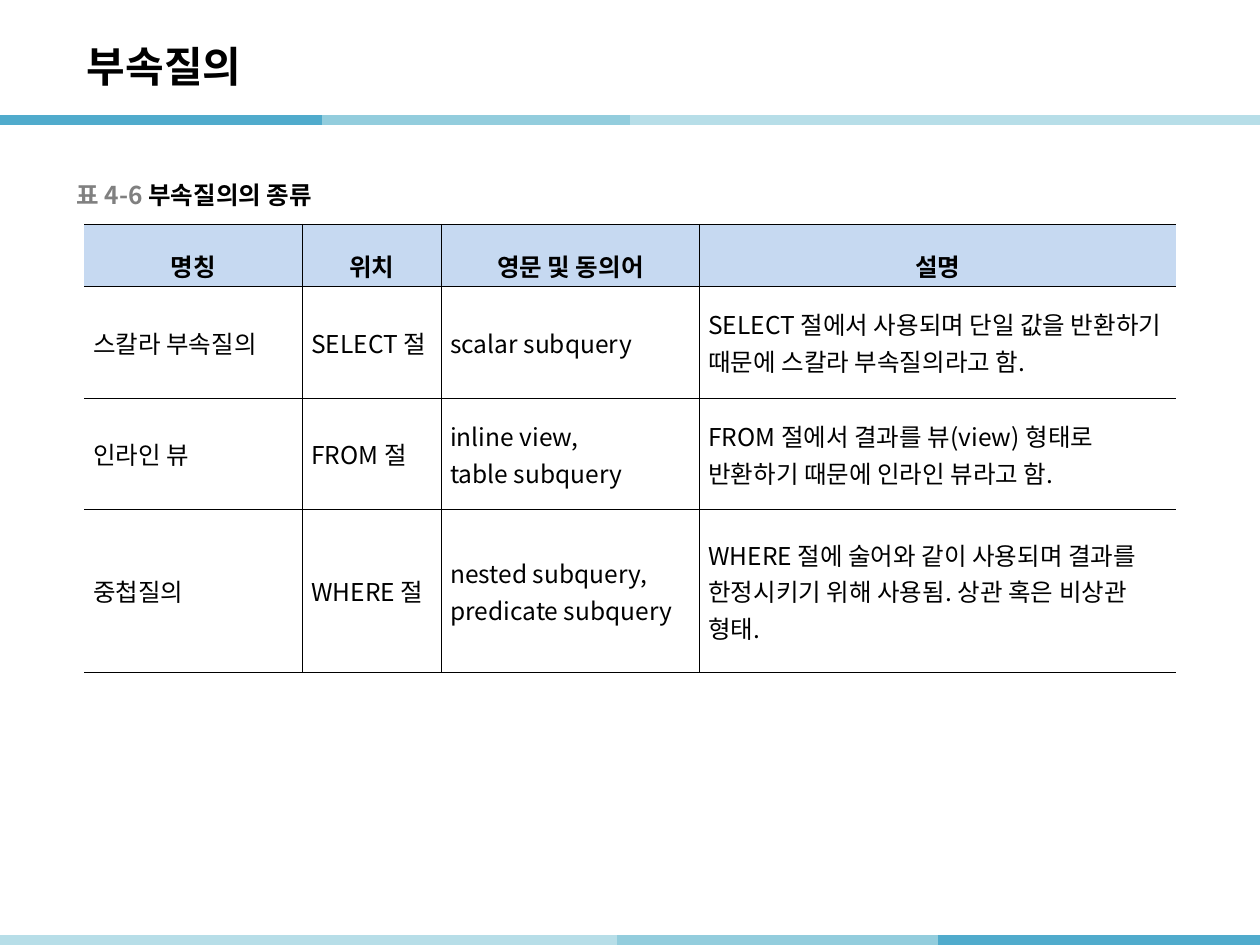
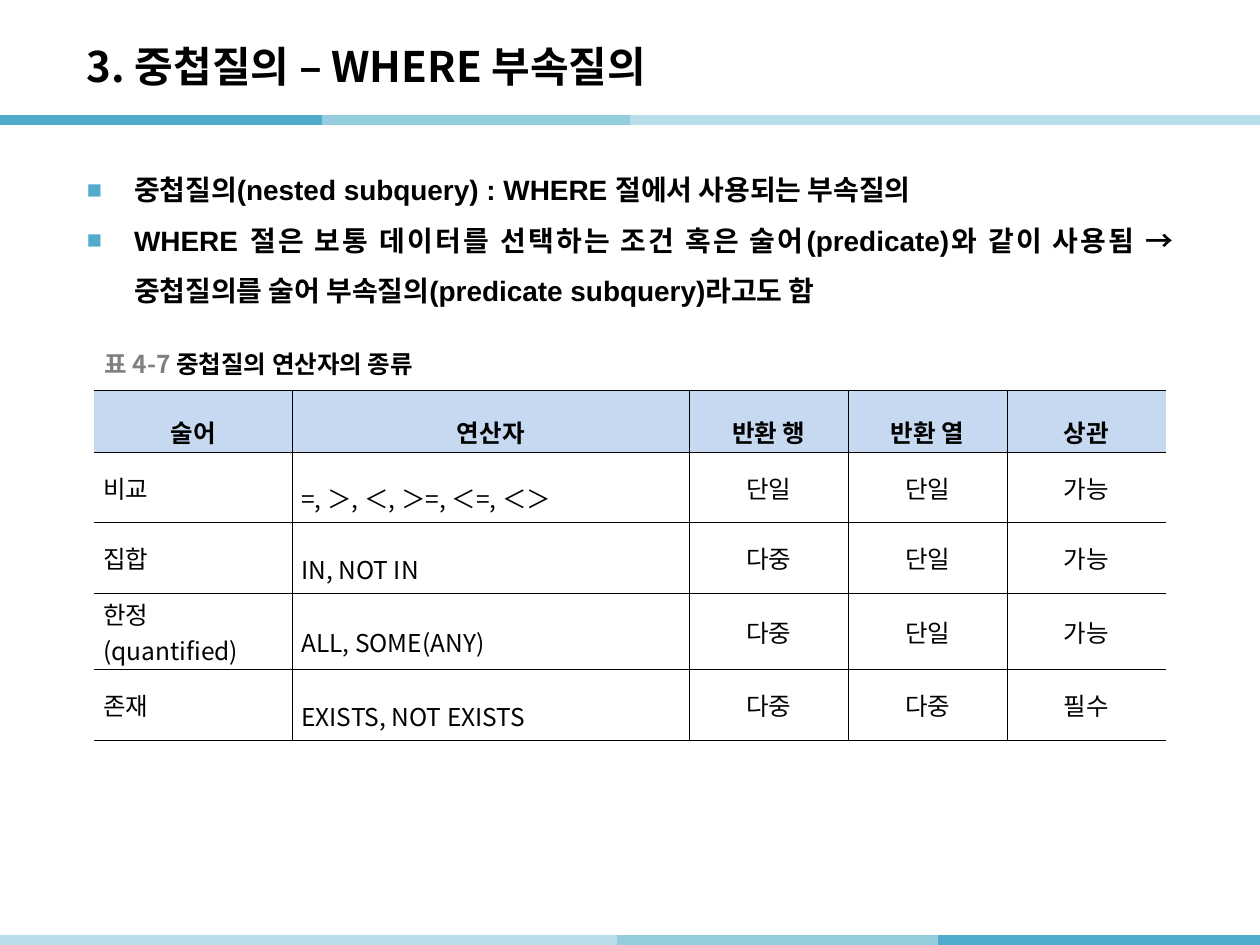
import pptx
import pptx.util
import pptx.dml.color
import pptx.enum.shapes
import pptx.enum.text
import pptx.oxml.ns
from lxml import etree

Pt = pptx.util.Pt
ALIGN = pptx.enum.text.PP_ALIGN
MIDDLE = pptx.enum.text.MSO_ANCHOR.MIDDLE
qn = pptx.oxml.ns.qn

COLORS = {
    "text": "000000",
    "caption": "808080",
    "header": "C6D9F1",
    "dark": "50ABCC",
    "mid": "93CDDD",
    "light": "B7DEE8",
}
KOREAN = "Noto Sans CJK KR"
LATIN = "Arial"
SLIDE_WIDTH, SLIDE_HEIGHT = 720, 540
TOP_BAND = (68.6, [(0, 184.3, "dark"), (184.3, 360, "mid"), (360, 720, "light")])
BOTTOM_BAND = (537.1, [(0, 352.8, "light"), (352.8, 536, "mid"), (536, 720, "dark")])


def rgb(name):
    return pptx.dml.color.RGBColor.from_string(COLORS[name])


def style(paragraph, size, bold=False, latin=KOREAN):
    font = paragraph.font
    font.size = Pt(size)
    font.bold = bold
    font.name = latin
    font.color.rgb = rgb("text")
    defaults = paragraph._p.pPr.find(qn("a:defRPr"))
    etree.SubElement(defaults, qn("a:ea"), typeface=KOREAN)


def add_band(slide, y, segments):
    for start, end, color in segments:
        segment = slide.shapes.add_connector(
            pptx.enum.shapes.MSO_CONNECTOR.STRAIGHT, Pt(start), Pt(y), Pt(end), Pt(y))
        segment.line.width = Pt(6)
        segment.line.color.rgb = rgb(color)
        etree.SubElement(segment._element.spPr, qn("a:effectLst"))


def add_titled_slide(deck, heading):
    slide = deck.slides.add_slide(deck.slide_layouts[5])
    add_band(slide, *TOP_BAND)
    add_band(slide, *BOTTOM_BAND)
    title = slide.shapes.title
    title.left, title.top, title.width, title.height = Pt(42.5), Pt(15.8), Pt(595.5), Pt(43.2)
    title.text_frame.text = heading
    title.text_frame.vertical_anchor = MIDDLE
    paragraph = title.text_frame.paragraphs[0]
    paragraph.alignment = ALIGN.LEFT
    style(paragraph, 24, bold=True)
    return slide


def add_caption(slide, left, top, number, description):
    frame = slide.shapes.add_textbox(Pt(left), Pt(top), Pt(260), Pt(22.3)).text_frame
    frame.word_wrap = True
    frame.vertical_anchor = MIDDLE
    paragraph = frame.paragraphs[0]
    paragraph.alignment = ALIGN.LEFT
    style(paragraph, 14, bold=True)
    label = paragraph.add_run()
    label.text = f"표 {number} "
    label.font.color.rgb = rgb("caption")
    paragraph.add_run().text = description


def add_bullets(slide, statements):
    frame = slide.shapes.add_textbox(Pt(42.5), Pt(85.7), Pt(635), Pt(430.5)).text_frame
    frame.word_wrap = True
    frame.text = "\n".join(statements)
    for paragraph in frame.paragraphs:
        paragraph.alignment = ALIGN.JUSTIFY
        paragraph.line_spacing = 1.5
        properties = paragraph._p.get_or_add_pPr()
        properties.set("marL", str(Pt(27)))
        properties.set("indent", str(-Pt(27)))
        bullet_color = etree.SubElement(properties, qn("a:buClr"))
        etree.SubElement(bullet_color, qn("a:srgbClr"), val=COLORS["dark"])
        etree.SubElement(properties, qn("a:buSzPct"), val="90000")
        etree.SubElement(properties, qn("a:buFont"), typeface=LATIN)
        etree.SubElement(properties, qn("a:buChar"), char="■")
        style(paragraph, 16, bold=True, latin=LATIN)


def set_borders(cell, hidden):
    properties = cell._tc.get_or_add_tcPr()
    for index, side in enumerate(("lnL", "lnR", "lnT", "lnB")):
        border = etree.Element(qn(f"a:{side}"), w=str(Pt(0.28)))
        if side in hidden:
            etree.SubElement(border, qn("a:noFill"))
        else:
            fill = etree.SubElement(border, qn("a:solidFill"))
            etree.SubElement(fill, qn("a:srgbClr"), val=COLORS["text"])
        properties.insert(index, border)


def fill_cell(cell, text, alignment, spacing, is_header):
    cell.margin_left = cell.margin_right = Pt(5.1)
    cell.margin_top = cell.margin_bottom = Pt(1.4)
    cell.vertical_anchor = MIDDLE
    if is_header:
        cell.fill.solid()
        cell.fill.fore_color.rgb = rgb("header")
    else:
        cell.fill.background()
    cell.text_frame.text = text
    for paragraph in cell.text_frame.paragraphs:
        paragraph.alignment = alignment
        paragraph.line_spacing = spacing
        style(paragraph, 14, bold=is_header)


def add_grid(slide, left, top, widths, heights, rows, column_formats):
    table = slide.shapes.add_table(
        len(rows), len(widths), Pt(left), Pt(top), Pt(sum(widths)), Pt(sum(heights))).table
    table.first_row = table.horz_banding = False
    for column, width in zip(table.columns, widths):
        column.width = Pt(width)
    for row, height in zip(table.rows, heights):
        row.height = Pt(height)
    last = len(widths) - 1
    for r, texts in enumerate(rows):
        for c, text in enumerate(texts):
            alignment, spacing = column_formats[c] if r else (ALIGN.CENTER, 1.6)
            cell = table.cell(r, c)
            fill_cell(cell, text, alignment, spacing, is_header=r == 0)
            set_borders(cell, {0: ("lnL",), last: ("lnR",)}.get(c, ()))


def add_subquery_kinds(deck):
    slide = add_titled_slide(deck, "부속질의")
    rows = [
        ("명칭", "위치", "영문 및 동의어", "설명"),
        ("스칼라 부속질의", "SELECT 절", "scalar subquery",
         "SELECT 절에서 사용되며 단일 값을 반환하기 때문에 스칼라 부속질의라고 함."),
        ("인라인 뷰", "FROM 절", "inline view,\ntable subquery",
         "FROM 절에서 결과를 뷰(view) 형태로 반환하기 때문에 인라인 뷰라고 함."),
        ("중첩질의", "WHERE 절", "nested subquery,\npredicate subquery",
         "WHERE 절에 술어와 같이 사용되며 결과를 한정시키기 위해 사용됨. "
         "상관 혹은 비상관 형태."),
    ]
    add_grid(slide, 48.1, 128.1, [124.7, 79.4, 147.5, 272.4], [35.5, 63.8, 63.6, 93.2],
             rows, [(ALIGN.LEFT, Pt(21))] * 4)
    add_caption(slide, 36.7, 100.1, "4-6", "부속질의의 종류")


def add_nested_query_operators(deck):
    slide = add_titled_slide(deck, "3. 중첩질의 – WHERE 부속질의")
    add_bullets(slide, [
        "중첩질의(nested subquery) : WHERE 절에서 사용되는 부속질의",
        "WHERE 절은 보통 데이터를 선택하는 조건 혹은 술어(predicate)와 같이 사용됨 → "
        "중첩질의를 술어 부속질의(predicate subquery)라고도 함",
    ])
    rows = [
        ("술어", "연산자", "반환 행", "반환 열", "상관"),
        ("비교", "=, ＞, ＜, ＞=, ＜=, ＜＞", "단일", "단일", "가능"),
        ("집합", "IN, NOT IN", "다중", "단일", "가능"),
        ("한정(quantified)", "ALL, SOME(ANY)", "다중", "단일", "가능"),
        ("존재", "EXISTS, NOT EXISTS", "다중", "다중", "필수"),
    ]
    formats = [(ALIGN.LEFT, None), (ALIGN.LEFT, 1.6)] + [(ALIGN.CENTER, None)] * 3
    add_grid(slide, 53.9, 222.8, [113.2, 226.8] + [90.8] * 3,
             [35.5, 40.4, 40.4, 43.4, 40.4], rows, formats)
    add_caption(slide, 52.6, 196.6, "4-7", "중첩질의 연산자의 종류")


def main():
    deck = pptx.Presentation()
    deck.slide_width, deck.slide_height = Pt(SLIDE_WIDTH), Pt(SLIDE_HEIGHT)
    add_subquery_kinds(deck)
    add_nested_query_operators(deck)
    deck.save("out.pptx")


if __name__ == "__main__":
    main()
